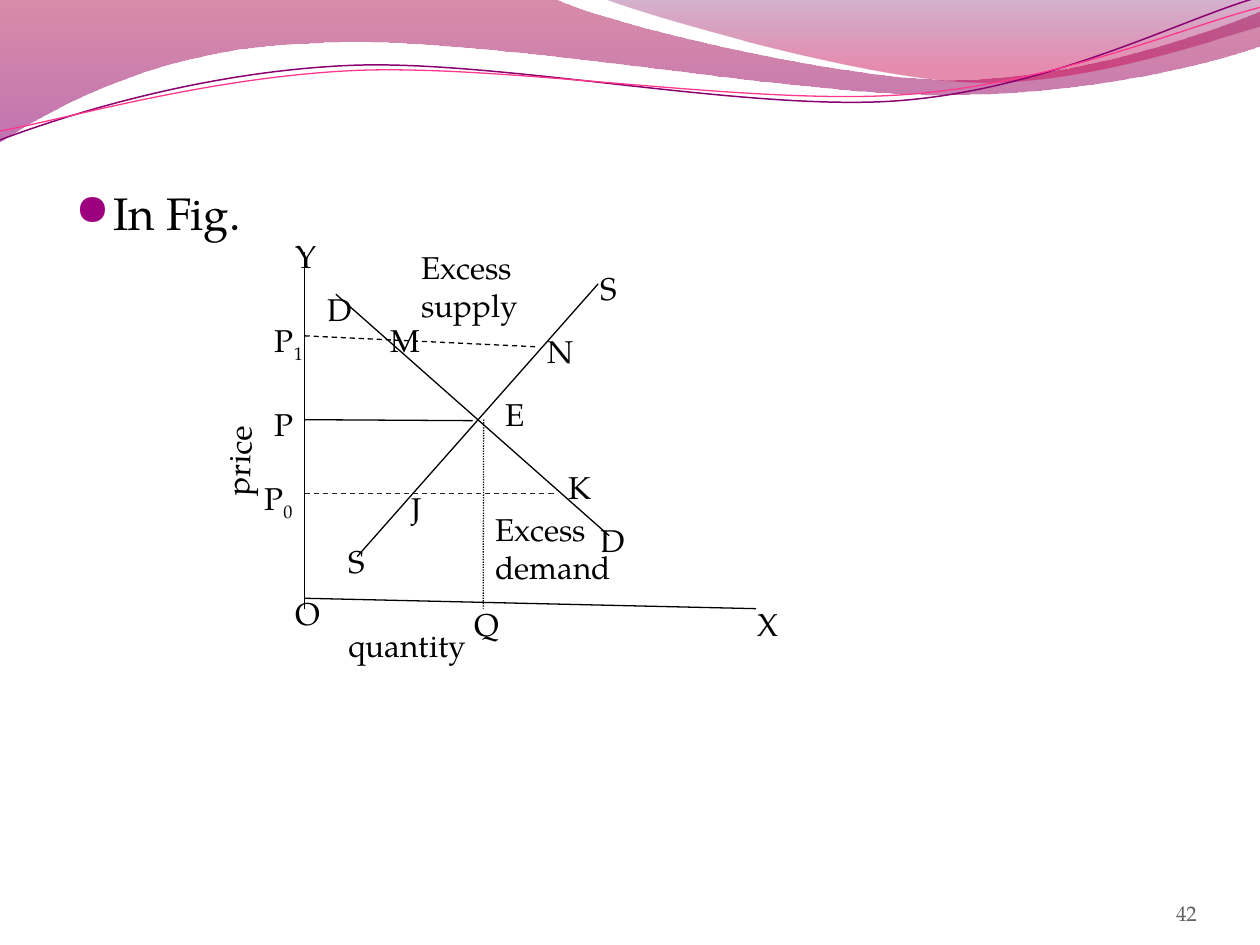
from math import cos, radians, sin
from pptx import Presentation
from pptx.util import Cm, Pt
from pptx.dml.color import RGBColor
from pptx.enum.dml import MSO_LINE as Dash
from pptx.enum.shapes import MSO_CONNECTOR as Link
from pptx.enum.text import MSO_ANCHOR as Anchor, MSO_AUTO_SIZE as Fit, PP_ALIGN as Align
from pptx.oxml.ns import qn
from lxml.etree import SubElement as Sub

FACE = "TeX Gyre Pagella"
TILT = 357.3

# Outlines in cm: a pair is a straight step, six numbers are a curve
BANDS = [
    ([(0, 0), (11.18, -0.03), (12.09, 0.43, 16.87, 1.6, 19.25, 1.6),
      (21.67, 1.6, 24.33, 0.66, 25.4, 0.23), (25.43, 0.91),
      (24.97, 1.12, 22.1, 1.93, 18.95, 1.91), (15.8, 1.91, 9.7, 0.71, 6.53, 0.86),
      (3.28, 0.91, 1.17, 2.11, -0.03, 2.87)],
     [(0, "A90042", 45), (1, "8E0073", 55)]),
    ([(12.17, -0.03), (12.93, 0.28, 17.32, 1.57, 19.53, 1.65),
      (21.74, 1.75, 24.41, 0.81, 25.4, 0.53), (25.4, 0)],
     [(0, "73005E", 30), (0.8, "C9004F", 45)]),
]
WAVES = [
    ([(0, 2.82), (1.22, 2.36, 4.01, 1.45, 7.04, 1.32),
      (10.03, 1.19, 15.06, 2.26, 18.11, 2.03),
      (21.16, 1.8, 23.83, 0.38, 25.35, -0.05)], (12.68, 1.46), "8A0070", 0.85),
    ([(0, 2.64), (1.19, 2.44, 4.17, 1.55, 7.19, 1.42),
      (10.24, 1.3, 15.16, 2.13, 18.21, 1.91),
      (21.23, 1.7, 23.9, 0.53, 25.4, 0.15)], (12.69, 1.5), "FF388C", 0.75),
]

# Lines of the diagram: x1, y1, x2, y2, colour, dash
LINES = [
    (6.14, 5.08, 6.14, 12.27, "000000", None),
    (6.14, 12.06, 15.24, 12.27, "000000", None),
    (6.77, 5.93, 12.28, 10.8, "000000", None),
    (7.2, 11.22, 12.06, 5.72, "000000", None),
    (9.53, 8.48, 6.14, 8.46, "000000", None),
    (9.75, 8.46, 9.74, 12.27, "000000", Dash.ROUND_DOT),
    (6.14, 6.77, 10.8, 6.99, "000000", Dash.DASH),
    (6.14, 9.95, 11.22, 9.95, "262626", Dash.DASH),
]

# Labels: text, subscript, left, top, width
LABELS = [
    ("E", "", 9.95, 7.83, 0.51), ("X", "", 15.03, 12.07, 0.74),
    ("D", "", 11.85, 10.37, 1.14), ("D", "", 6.35, 5.72, 0.74),
    ("O", "", 5.71, 11.85, 1.24), ("S", "", 11.85, 5.29, 1.27),
    ("S", "", 6.77, 10.8, 0.94), ("P", "0", 5.08, 9.53, 1.27),
    ("P", "1", 5.29, 6.35, 1.14), ("P", "", 5.29, 8.04, 1.09),
    ("Y", "", 5.71, 4.66, 1.09), ("Q", "", 9.31, 12.07, 0.94),
    ("M", "", 7.62, 6.35, 1.27), ("N", "", 10.79, 6.56, 0.51),
    ("J", "", 8.04, 9.74, 0.94), ("K", "", 11.22, 9.31, 0.51),
    ("Excess demand", "", 9.74, 10.16, 3.6), ("Excess supply", "", 8.25, 4.87, 2.97),
    ("quantity", "", 6.77, 12.49, 5.5),
]


def rgb(code):
    return RGBColor.from_string(code)


def style(run, size, hue="000000"):
    form = {"name": FACE, "size": Pt(size)}
    for key, val in form.items():
        setattr(run.font, key, val)
    run.font.color.rgb = rgb(hue)


def pairs(step):
    return list(zip(step[::2], step[1::2]))


def turn(steps, mid, angle):
    """Turn every point of an outline about its middle."""
    c, s = cos(radians(angle)), sin(radians(angle))
    out = []
    for step in steps:
        new = ()
        for x, y in pairs(step):
            dx, dy = x - mid[0], y - mid[1]
            new += (mid[0] + dx * c - dy * s, mid[1] + dx * s + dy * c)
        out.append(new)
    return out


def outline(slide, steps, close):
    """Join the end points, then bend the steps that are curves."""
    ends = [(Cm(step[-2]), Cm(step[-1])) for step in steps]
    pen = slide.shapes.build_freeform(*ends[0], scale=1.0)
    pen.add_line_segments(ends[1:], close=close)
    shape = pen.convert_to_shape()
    shape.shadow.inherit = False
    legs = list(shape.element.spPr.iter(qn("a:lnTo")))
    for leg, step in zip(legs, steps[1:]):
        if len(step) == 6:
            bend = leg.makeelement(qn("a:cubicBezTo"))
            for x, y in pairs(step):
                Sub(bend, qn("a:pt"), x=str(Cm(x) - shape.left), y=str(Cm(y) - shape.top))
            leg.getparent().replace(leg, bend)
    return shape


def band(slide, steps, stops):
    shape = outline(slide, steps, True)
    shape.line.fill.background()
    shape.fill.gradient()
    shape.fill.gradient_angle = 270
    for stop, (pos, hue, _) in zip(shape.fill.gradient_stops, stops):
        stop.position = pos
        stop.color.rgb = rgb(hue)
    tints = shape.element.spPr.iter(qn("a:srgbClr"))
    for tint, (_, _, alpha) in zip(tints, stops):
        Sub(tint, qn("a:alpha"), val=str(alpha * 1000))


def wave(slide, steps, mid, hue, width):
    shape = outline(slide, turn(steps, mid, -TILT), False)
    shape.rotation = TILT
    shape.fill.background()
    shape.line.color.rgb = rgb(hue)
    shape.line.width = Pt(width)


def line(slide, x1, y1, x2, y2, hue, dash):
    link = slide.shapes.add_connector(Link.STRAIGHT, Cm(x1), Cm(y1), Cm(x2), Cm(y2))
    link.line.color.rgb = rgb(hue)
    form = {"width": Pt(0.75), "dash_style": dash}
    for key, val in form.items():
        setattr(link.line, key, val)
    Sub(link.element.spPr, qn("a:effectLst"))


def text(slide, words, x, y, w, h, size, hue="000000", **form):
    box = slide.shapes.add_textbox(Cm(x), Cm(y), Cm(w), Cm(h))
    for key, val in {"word_wrap": True, **form}.items():
        setattr(box.text_frame, key, val)
    para = box.text_frame.paragraphs[0]
    style(para.add_run(), size, hue)
    para.runs[0].text = words
    return box, para


def label(slide, words, sub, x, y, w):
    h = 1.8 if " " in words else 1.02
    box, para = text(slide, words, x, y, w, h, 18, auto_size=Fit.SHAPE_TO_FIT_TEXT)
    if sub:
        run = para.add_run()
        run.text = sub
        style(run, 18)
        run.font._element.set("baseline", "-25000")
    return box


def bullet(para, hue):
    props = para._p.get_or_add_pPr()
    props.set("marL", str(Cm(0.76)))
    props.set("indent", str(Cm(-0.76)))
    Sub(Sub(props, qn("a:buClr")), qn("a:srgbClr"), val=hue)
    Sub(props, qn("a:buSzPct"), val="95000")
    Sub(props, qn("a:buFont"), typeface="OpenSymbol")
    Sub(props, qn("a:buChar"), char="●")


def main():
    deck = Presentation()
    deck.slide_width, deck.slide_height = Cm(25.4), Cm(19.05)
    slide = deck.slides.add_slide(deck.slide_layouts[6])

    # Wavy header
    for item in BANDS:
        band(slide, *item)
    for item in WAVES:
        wave(slide, *item)

    # Body and page number
    _, para = text(slide, "In Fig.", 1.27, 3.61, 22.86, 13.97, 26)
    bullet(para, "9C007F")
    flat = dict.fromkeys(("margin_left", "margin_top", "margin_right", "margin_bottom"), 0)
    _, para = text(slide, "42", 22.02, 17.65, 2.11, 1.02, 12, "616161",
                   vertical_anchor=Anchor.BOTTOM, **flat)
    para.alignment = Align.RIGHT

    # Supply and demand diagram
    for item in LINES:
        line(slide, *item)
    for item in LABELS:
        label(slide, *item)
    label(slide, "price", "", 3.55, 8.46, 2.54).rotation = 272.6

    deck.save("out.pptx")


if __name__ == "__main__":
    main()
